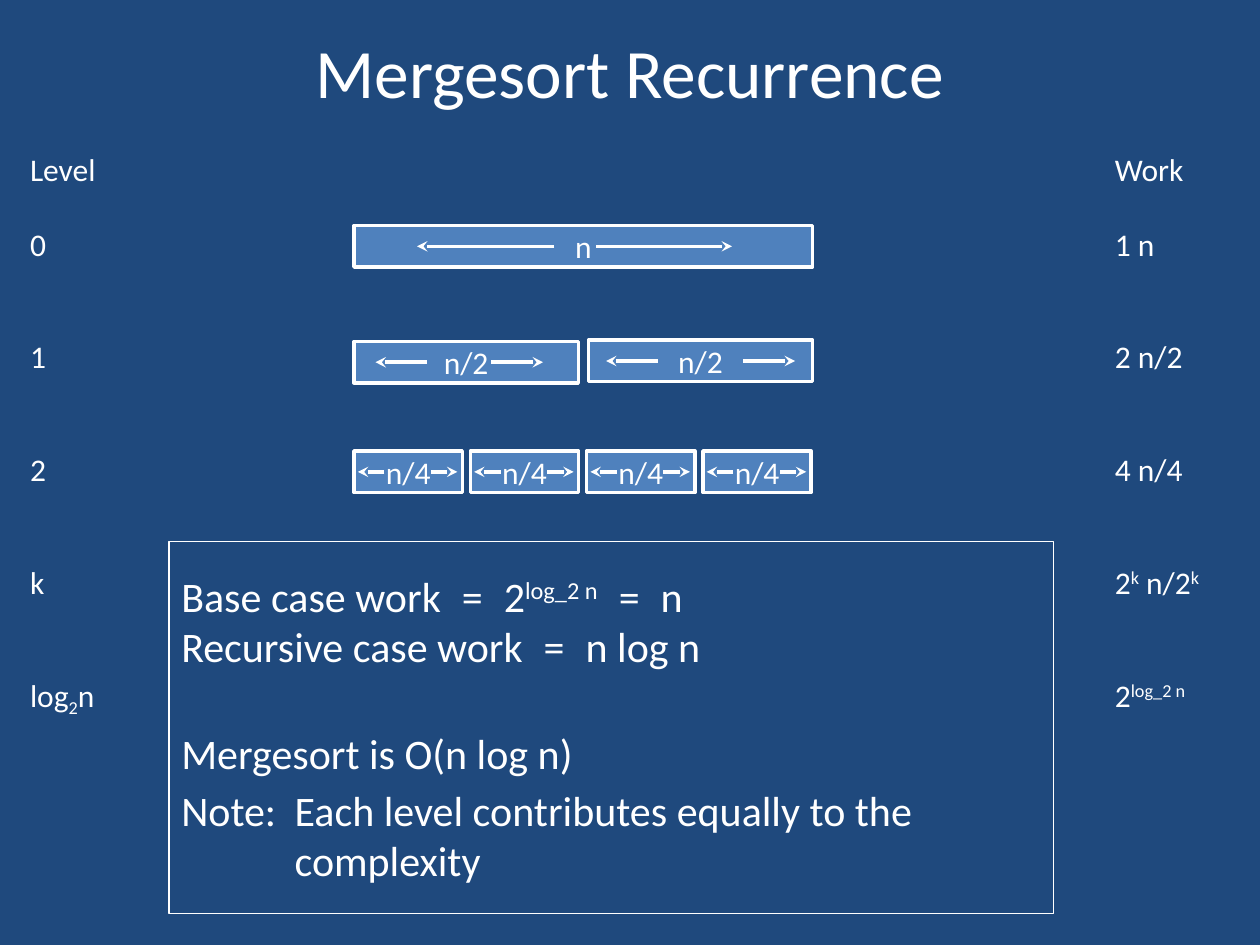
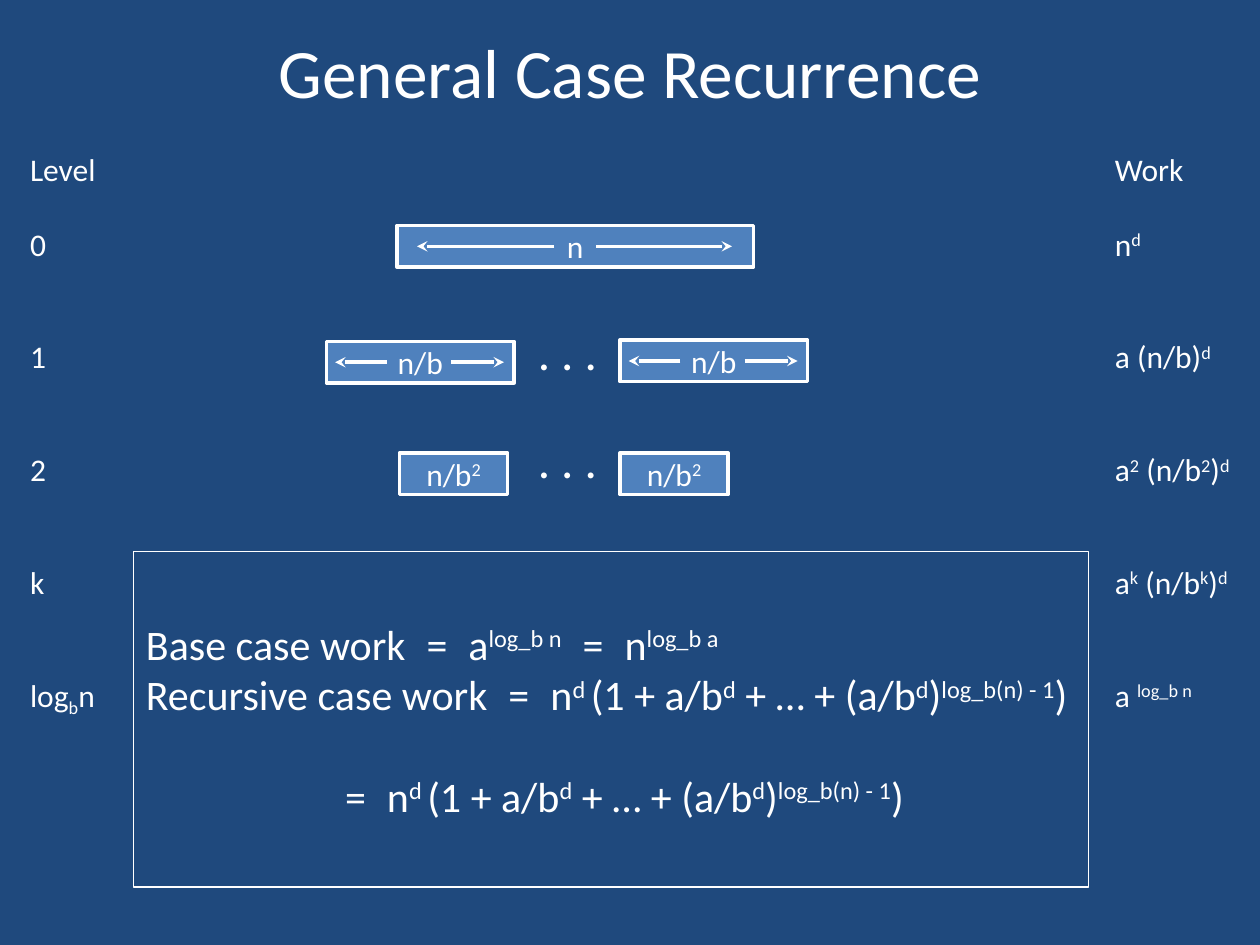
from dataclasses import dataclass

from lxml import etree
from pptx import Presentation
from pptx.dml.color import RGBColor
from pptx.enum.shapes import MSO_CONNECTOR, MSO_SHAPE
from pptx.enum.text import MSO_ANCHOR, PP_ALIGN
from pptx.oxml.ns import qn
from pptx.util import Inches, Pt

RECT, STRAIGHT = MSO_SHAPE.RECTANGLE, MSO_CONNECTOR.STRAIGHT
TOP, MIDDLE = MSO_ANCHOR.TOP, MSO_ANCHOR.MIDDLE
LEFT, CENTER = PP_ALIGN.LEFT, PP_ALIGN.CENTER
TITLE_ONLY = 5
GRID_COLUMNS = 100  # square grid cells, 75 rows on a 4:3 slide
EQ = "\u2002=\u2002"  # equals sign set off by en spaces
BASELINES = {"^": "30000", "~": "-25000"}  # superscript, subscript


@dataclass(frozen=True)
class Theme:
    background: RGBColor = RGBColor(0x1F, 0x49, 0x7D)
    bar: RGBColor = RGBColor(0x4F, 0x81, 0xBD)
    ink: RGBColor = RGBColor(0xFF, 0xFF, 0xFF)
    font: str = "Calibri"
    title: float = 39.6
    label: float = 18
    formula: float = 24
    dots: float = 28
    thick: float = 2
    thin: float = 0.75


class Deck:
    """Holds the theme and the slide being drawn; lengths are grid cells."""

    def __init__(self, prs, theme):
        self.prs, self.theme = prs, theme
        self.cell = prs.slide_width / GRID_COLUMNS
        fill = prs.slide_master.background.fill
        fill.solid()
        fill.fore_color.rgb = theme.background

    def grid(self, *cells):
        return [round(c * self.cell) for c in cells]

    def add_text(self, p, text, size, align=LEFT):
        """Pieces are split by |; a leading ^ raises and ~ lowers a piece."""
        p.alignment = align
        for piece in text.split("|"):
            r = p.add_run()
            shift = BASELINES.get(piece[0])
            r.text = piece[1:] if shift else piece
            r.font.size, r.font.name = Pt(size), self.theme.font
            r.font.color.rgb = self.theme.ink
            if shift:
                r._r.get_or_add_rPr().set("baseline", shift)

    def frame(self, shape, anchor):
        tf = shape.text_frame
        tf.word_wrap, tf.vertical_anchor = True, anchor
        return tf

    def slide(self, title):
        self.s = self.prs.slides.add_slide(self.prs.slide_layouts[TITLE_ONLY])
        sp = self.s.shapes.title
        sp.left, sp.top, sp.width, sp.height = self.grid(5, 1.7, 90, 7.8)
        self.add_text(self.frame(sp, MIDDLE).paragraphs[0], title, self.theme.title, CENTER)

    def level(self):
        """Start the group that holds one level of the tree."""
        self.group = self.s.shapes.add_group_shape().shapes

    def box(self, shapes, area, line_width, fill=None):
        sp = shapes.add_shape(RECT, *self.grid(*area))
        sp.shadow.inherit = False
        if fill is None:
            sp.fill.background()
        else:
            sp.fill.solid()
            sp.fill.fore_color.rgb = fill
        sp.line.color.rgb, sp.line.width = self.theme.ink, Pt(line_width)
        return self.frame(sp, MIDDLE)

    def bar(self, x, y, width, text, arrows=()):
        """A subproblem; arrows are (start, end) offsets from its left edge."""
        tf = self.box(self.group, (x, y, width, 3.3), self.theme.thick, self.theme.bar)
        self.add_text(tf.paragraphs[0], text, self.theme.label, CENTER)
        for start, end in arrows:
            self.arrow(x + start, x + end, y + 1.65)

    def arrow(self, x1, x2, y):
        line = self.group.add_connector(STRAIGHT, *self.grid(x1, y, x2, y))
        line.line.color.rgb, line.line.width = self.theme.ink, Pt(self.theme.thick)
        props = line._element.spPr
        etree.SubElement(props.get_or_add_ln(), qn("a:tailEnd"), type="stealth")
        etree.SubElement(props, qn("a:effectLst"))

    def dots(self, y):
        sp = self.group.add_textbox(*self.grid(41.7, y, 6.8, 5.7))
        self.add_text(self.frame(sp, TOP).paragraphs[0], ". . .", self.theme.dots)

    def column(self, x, width, height, entries):
        sp = self.s.shapes.add_textbox(*self.grid(x, 11.4, width, height))
        tf = self.frame(sp, TOP)
        for i, text in enumerate(entries):
            p = tf.paragraphs[0] if i == 0 else tf.add_paragraph()
            p.space_before = Pt((0, 21.2)[i] if i < 2 else 42.8)
            self.add_text(p, text, self.theme.label)

    def summary(self, area, lines):
        """Each line is (text, points before, left margin, first-line indent)."""
        tf = self.box(self.s.shapes, area, self.theme.thin)
        for i, (text, before, margin, indent) in enumerate(lines):
            p = tf.paragraphs[0] if i == 0 else tf.add_paragraph()
            p.space_before = Pt(before)
            props = p._p.get_or_add_pPr()
            for name, cells in (("marL", margin), ("indent", indent)):
                props.set(name, str(self.grid(cells)[0]))
            self.add_text(p, text, self.theme.formula)

    def levels_and_work(self, base, work_width, work):
        self.column(1.4, 7.3, 49.5, ["Level", "0", "1", "2", "k", f"log|~{base}|n"])
        self.column(87.5, work_width, 46.4, ["Work"] + work)


prs = Presentation()
prs.slide_width, prs.slide_height = Inches(10), Inches(7.5)
deck = Deck(prs, Theme())

# Slide 1: mergesort halves the input at each level
deck.slide("Mergesort Recurrence")
deck.level()
deck.bar(28.1, 17.9, 36.4, "n", ((19.2, 30), (15.9, 5)))
deck.level()
deck.bar(46.7, 27, 17.8, "n/2", ((12.3, 16.4), (5.5, 1.4)))
deck.bar(28.1, 27.1, 17.8, "n/2", ((10.9, 15), (5.8, 1.7)))
deck.level()
for i in range(4):
    deck.bar(28.1 + 9.23 * i, 35.8, 8.6, "n/4", ((6.1, 8.2), (2.4, 0.3)))
deck.levels_and_work("2", 9, ["1 n", "2 n/2", "4 n/4", "2|^k| n/2|^k", "2|^log_2 n"])
deck.summary((13.4, 43, 70.2, 29.5), [
    (f"Base case work{EQ}2|^log_2 n|{EQ}n", 0, 0, 0),
    (f"Recursive case work{EQ}n log n", 0, 0, 0),
    ("Mergesort is O(n log n)", 32.5, 0, 0),
    ("Note:\tEach level contributes equally to the complexity", 3.5, 9, -9),
])

# Slide 2: a subproblems of size n/b at each level
deck.slide("General Case Recurrence")
deck.level()
deck.bar(31.5, 17.9, 28.3, "n", ((15.8, 26.6), (12.5, 1.6)))
deck.level()
for x, y in ((49.2, 27), (25.9, 27.1)):
    deck.bar(x, y, 14.9, "n/b", ((9.9, 14.1), (4.8, 0.7)))
deck.dots(25)
deck.level()
for x in (31.7, 49.2):
    deck.bar(x, 35.95, 8.6, "n/b|^2")
deck.dots(33.6)
deck.levels_and_work("b", 12, [
    "n|^d", "a (n/b)|^d", "a|^2| (n/b|^2|)|^d", "a|^k| (n/b|^k|)|^d", "a |^log_b n"])
series = "n|^d |(1 + a/b|^d| + … + (a/b|^d|)|^log_b(n) - 1|)"
deck.summary((10.6, 43.8, 75.8, 26.6), [
    (f"Base case work{EQ}a|^log_b n|{EQ}n|^log_b a", 0, 0, 0),
    (f"Recursive case work{EQ}{series}", 0, 0, 0),
    (f"=\u2002{series}", 29.2, 15.8, 0),
])

prs.save("out.pptx")
